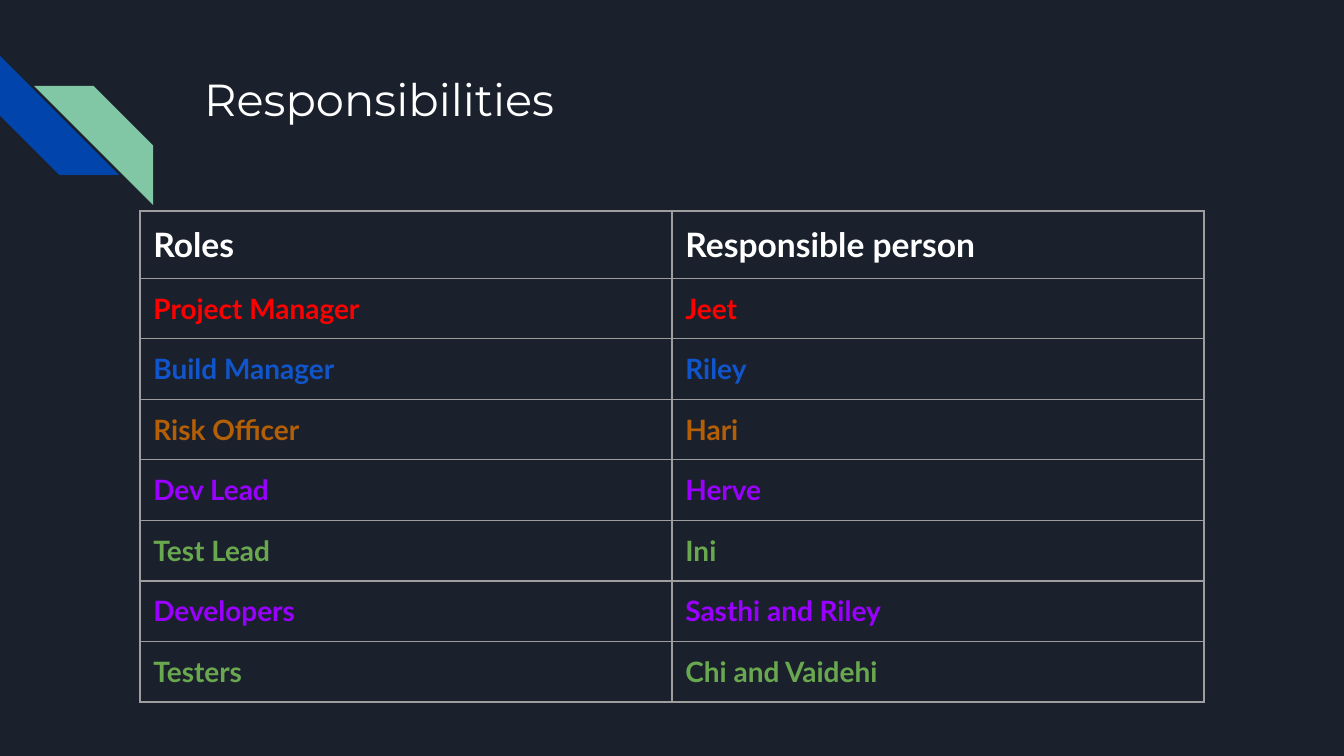
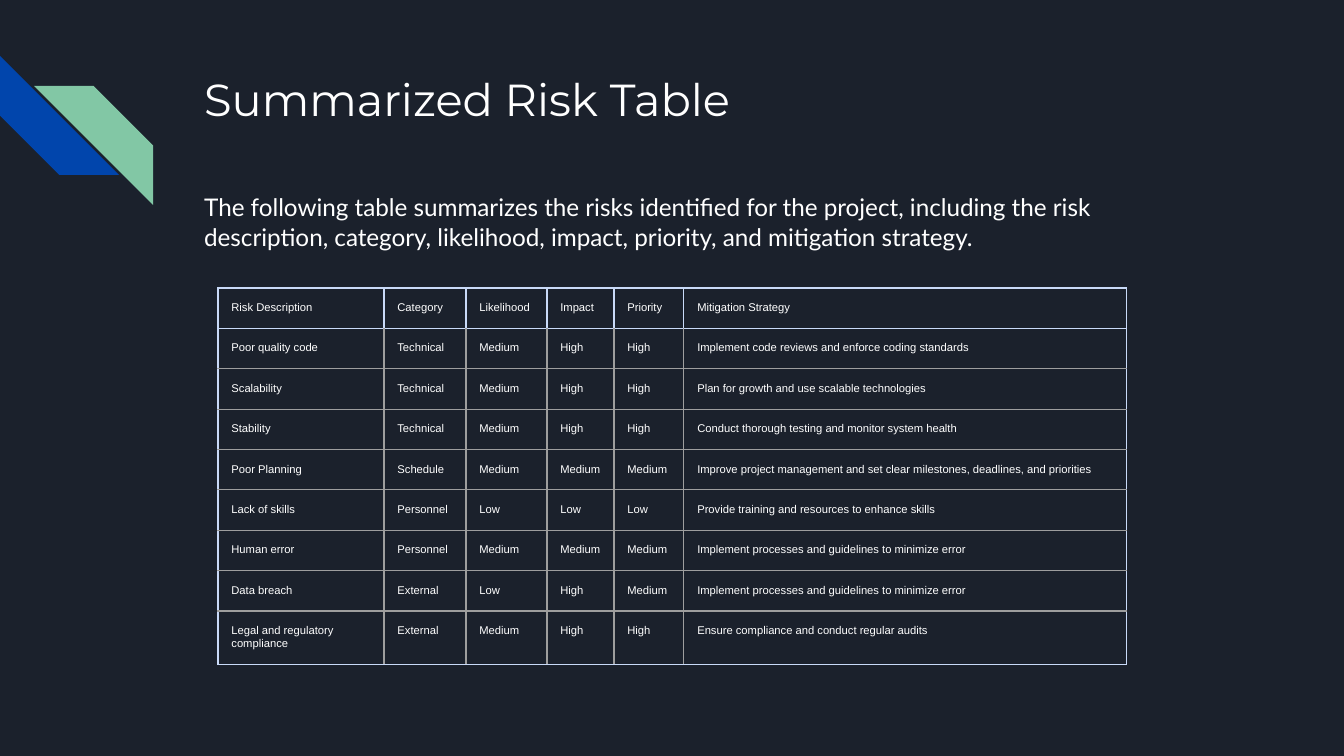
from lxml.etree import SubElement
from pptx import Presentation
from pptx.dml.color import RGBColor
from pptx.enum.shapes import MSO_SHAPE as Preset
from pptx.enum.text import MSO_ANCHOR as Anchor
from pptx.oxml.ns import qn
from pptx.util import Inches, Pt

SLIDE_W, SLIDE_H = 1344, 756
SCALE = Inches(10) / SLIDE_W
INSET = Inches(0.1)

NAVY = RGBColor(0x1B, 0x21, 0x2C)
COBALT = RGBColor(0x01, 0x45, 0xAC)
MINT = RGBColor(0x82, 0xC7, 0xA5)
WHITE = RGBColor(0xFF, 0xFF, 0xFF)
GREY = RGBColor(0x9E, 0x9E, 0x9E)
PALE_BLUE = RGBColor(0xC9, 0xDA, 0xF8)
RED = RGBColor(0xFF, 0x00, 0x00)
BLUE = RGBColor(0x11, 0x55, 0xCC)
BROWN = RGBColor(0xB4, 0x5F, 0x06)
PURPLE = RGBColor(0x99, 0x00, 0xFF)
GREEN = RGBColor(0x6A, 0xA8, 0x4F)

TITLE_FONT = {"name": "Montserrat", "size": Pt(24), "bold": False}
BODY_FONT = {"name": "Lato", "size": Pt(13), "bold": False}
HEADER_FONT = {"name": "Lato", "size": Pt(18), "bold": True}
ROLE_FONT = {"name": "Lato", "size": Pt(15), "bold": True}
RISK_FONT = {"name": "Arial", "size": Pt(6), "bold": False}

FRAME_FORMAT = {"word_wrap": True, "vertical_anchor": Anchor.TOP}
MARGINS = {f"margin_{side}": INSET for side in ("left", "right", "top", "bottom")}
PLAIN_TABLE = {"first_row": False, "horz_banding": False}

TITLE_BOX = (191, 58, 1035, 134)
INTRO_BOX = (191, 177, 1035, 141)
STRIPE_BOX = (0, 56, 119, 119)
STRIPE_SHIFT = (34, 30)

ROLES = [
    ("Roles", "Responsible person", WHITE),
    ("Project Manager", "Jeet", RED),
    ("Build Manager", "Riley", BLUE),
    ("Risk Officer", "Hari", BROWN),
    ("Dev Lead", "Herve", PURPLE),
    ("Test Lead", "Ini", GREEN),
    ("Developers", "Sasthi and Riley", PURPLE),
    ("Testers", "Chi and Vaidehi", GREEN),
]

RISK_INTRO = (
    "The following table summarizes the risks identified for the project, "
    "including the risk description, category, likelihood, impact, priority, "
    "and mitigation strategy."
)
RISKS = [
    ("Risk Description", "Category", "Likelihood", "Impact", "Priority",
     "Mitigation Strategy"),
    ("Poor quality code", "Technical", "Medium", "High", "High",
     "Implement code reviews and enforce coding standards"),
    ("Scalability", "Technical", "Medium", "High", "High",
     "Plan for growth and use scalable technologies"),
    ("Stability", "Technical", "Medium", "High", "High",
     "Conduct thorough testing and monitor system health"),
    ("Poor Planning", "Schedule", "Medium", "Medium", "Medium",
     "Improve project management and set clear milestones, deadlines, and priorities"),
    ("Lack of skills", "Personnel", "Low", "Low", "Low",
     "Provide training and resources to enhance skills"),
    ("Human error", "Personnel", "Medium", "Medium", "Medium",
     "Implement processes and guidelines to minimize error"),
    ("Data breach", "External", "Low", "High", "Medium",
     "Implement processes and guidelines to minimize error"),
    ("Legal and regulatory compliance", "External", "Medium", "High", "High",
     "Ensure compliance and conduct regular audits"),
]


def px(*lengths):
    """Turn pixel lengths into a list of EMU."""
    return [round(length * SCALE) for length in lengths]


def apply(target, values):
    """Set each named attribute on the target."""
    for key, value in values.items():
        setattr(target, key, value)


def write(paragraph, wording, font, color):
    """Put one formatted run into a paragraph."""
    run = paragraph.add_run()
    run.text = wording
    apply(run.font, font)
    run.font.color.rgb = color


def add_text(slide, box, wording, font, spacing=1.0):
    """Place white text inside the given box."""
    frame = slide.shapes.add_textbox(*px(*box)).text_frame
    apply(frame, {**FRAME_FORMAT, **MARGINS})
    frame.paragraphs[0].line_spacing = spacing
    write(frame.paragraphs[0], wording, font, WHITE)


def add_stripes(slide, box):
    """Draw the two facing diagonal stripes, starting at the given box."""
    left, top, width, height = box
    for step, (color, turn) in enumerate([(COBALT, 270), (MINT, 90)]):
        x, y = left + step * STRIPE_SHIFT[0], top + step * STRIPE_SHIFT[1]
        stripe = slide.shapes.add_shape(
            Preset.DIAGONAL_STRIPE, *px(x, y, width, height))
        stripe.rotation = turn
        stripe.shadow.inherit = False
        stripe.fill.solid()
        stripe.fill.fore_color.rgb = color
        stripe.line.fill.background()


def add_titled_slide(deck, title):
    """Add a slide with the shared background, stripes and title."""
    slide = deck.slides.add_slide(deck.slide_layouts[6])
    slide.background.fill.solid()
    slide.background.fill.fore_color.rgb = NAVY
    add_stripes(slide, STRIPE_BOX)
    add_text(slide, TITLE_BOX, title, TITLE_FONT)
    return slide


def set_borders(cell, colors):
    """Draw the cell's borders from a dict of side and colour."""
    properties = cell._tc.get_or_add_tcPr()
    for side, color in colors.items():
        border = SubElement(properties, qn(f"a:ln{side}"), w=str(Pt(0.75)))
        fill = SubElement(border, qn("a:solidFill"))
        SubElement(fill, qn("a:srgbClr"), val=str(color))


def add_grid(slide, corner, widths, heights, rows, style, edge=GREY):
    """Add a table with edge-coloured header and outline and a grey inside."""
    size = sum(widths), sum(heights)
    table = slide.shapes.add_table(
        len(heights), len(widths), *px(*corner, *size)).table
    apply(table, PLAIN_TABLE)
    for column, width in zip(table.columns, px(*widths)):
        column.width = width
    for row, height in zip(table.rows, px(*heights)):
        row.height = height
    last_row, last_column = len(heights) - 1, len(widths) - 1
    for r, wordings in enumerate(rows):
        font, color = style(r)
        for c, wording in enumerate(wordings):
            cell = table.cell(r, c)
            on_edge = {"L": r == 0 or c == 0, "R": r == 0 or c == last_column,
                       "T": r <= 1, "B": r in (0, last_row)}
            set_borders(cell, {side: edge if outer else GREY
                               for side, outer in on_edge.items()})
            cell.fill.background()
            apply(cell, {**MARGINS, "vertical_anchor": Anchor.TOP})
            write(cell.text_frame.paragraphs[0], wording, font, color)


def build_responsibilities(deck):
    """Build the slide that assigns people to roles."""
    slide = add_titled_slide(deck, "Responsibilities")
    add_grid(slide, (140, 211), [532] * 2, [56] * len(ROLES),
             [(role, person) for role, person, _ in ROLES],
             lambda r: (ROLE_FONT if r else HEADER_FONT, ROLES[r][2]))


def build_risks(deck):
    """Build the slide with the introduction and the risk table."""
    slide = add_titled_slide(deck, "Summarized Risk Table")
    add_text(slide, INTRO_BOX, RISK_INTRO, BODY_FONT, 1.05)
    add_grid(slide, (218, 288), [166, 82, 81, 67, 70, 443],
             [40] + [39] * (len(RISKS) - 2) + [51], RISKS,
             lambda r: (RISK_FONT, WHITE), PALE_BLUE)


def main():
    """Build and save the deck."""
    deck = Presentation()
    deck.slide_width, deck.slide_height = px(SLIDE_W, SLIDE_H)
    build_responsibilities(deck)
    build_risks(deck)
    deck.save("out.pptx")


if __name__ == "__main__":
    main()
